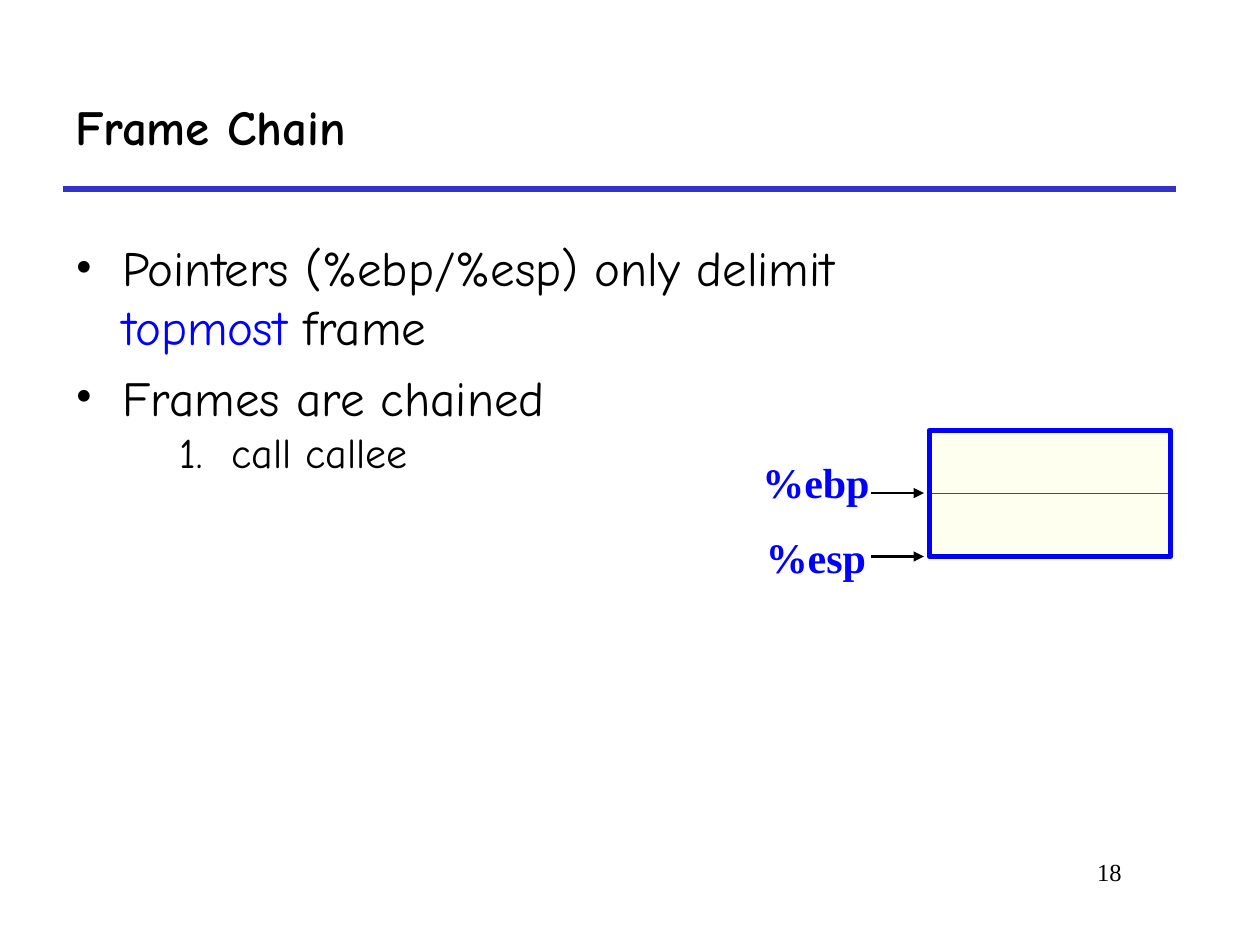
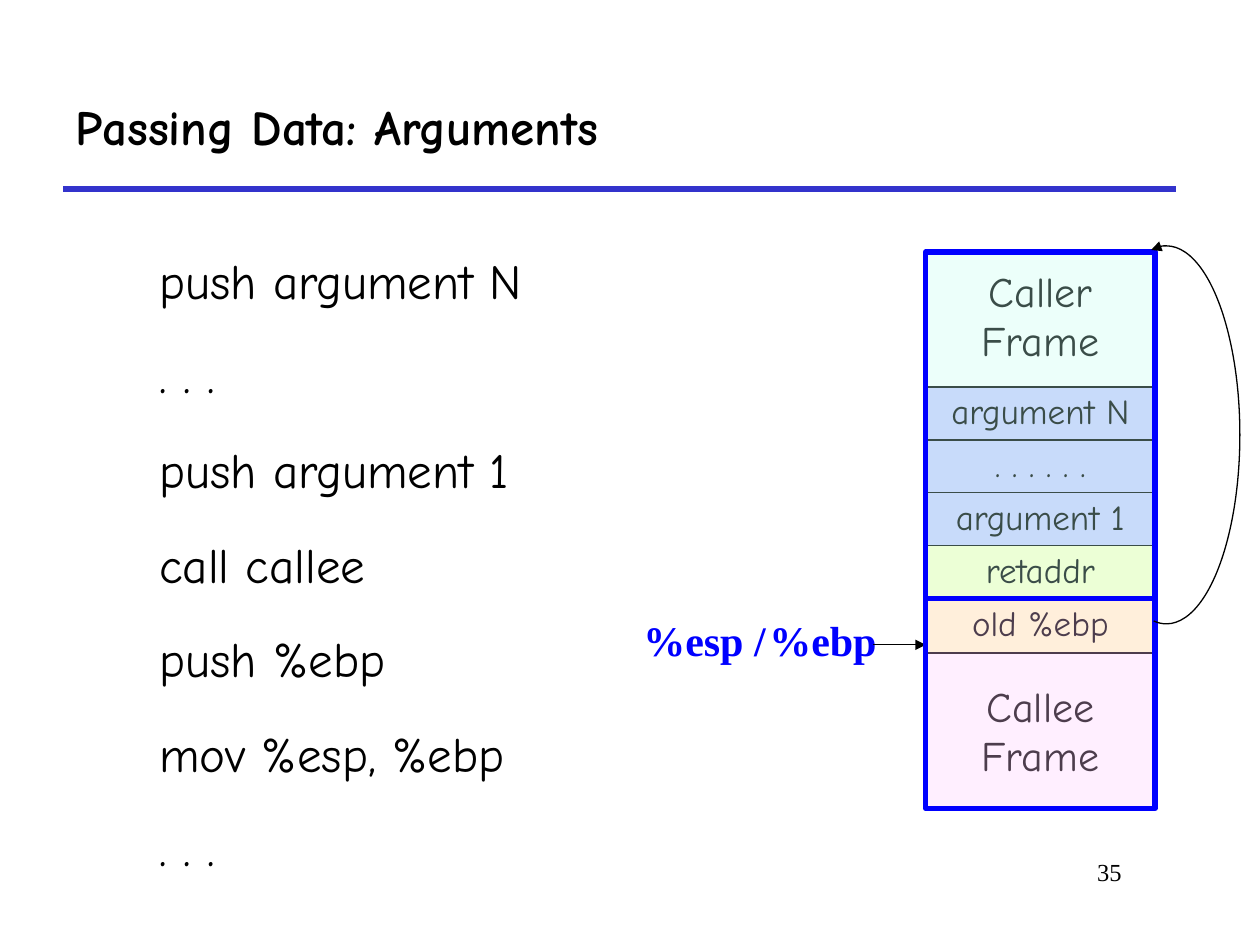
from lxml.etree import SubElement
from pptx import Presentation
from pptx.dml.color import RGBColor
from pptx.enum.shapes import MSO_CONNECTOR, MSO_SHAPE
from pptx.enum.text import MSO_ANCHOR, PP_ALIGN
from pptx.oxml.ns import qn
from pptx.util import Pt

COLORS = {
    "black": "000000",
    "white": "FFFFFF",
    "rule": "3333CC",
    "blue": "0000FF",
    "cream": "FFFFCC",
    "lavender": "CCCCFF",
    "mint": "C2FFF0",
    "pink": "FFCCFF",
}
HAND = "Comic Neue"
SERIF = "Times New Roman"
STACK_LEFT, STACK_WIDTH = 529, 131
CALLER_TOP, CALLEE_TOP = 144, 342
SLOT_STEP, SLOT_HEIGHT = 30.25, 31


def color(name):
    return RGBColor.from_string(COLORS[name])


def set_font(font, name, size, tint="black", bold=False):
    font.name = name
    font.size = Pt(size)
    font.bold = bold
    font.color.rgb = color(tint)


def add_box(page, left, top, width, height):
    box = page.shapes.add_textbox(Pt(left), Pt(top), Pt(width), Pt(height))
    box.text_frame.word_wrap = True
    return box.text_frame


def set_bullet(para, indent, hanging, font, kind, **attributes):
    props = para._p.get_or_add_pPr()
    props.set("marL", str(Pt(indent)))
    props.set("indent", str(-Pt(hanging)))
    SubElement(props, qn("a:buFont"), typeface=font)
    SubElement(props, qn(kind), **attributes)


def add_paragraphs(frame, texts, space=7, spacing=None, bullet=None):
    for index, text in enumerate(texts):
        para = frame.paragraphs[0] if index == 0 else frame.add_paragraph()
        if bullet:
            set_bullet(para, 27, 27, SERIF, "a:buChar", char=bullet)
        para.space_before = Pt(space if index else 0)
        if spacing:
            para.line_spacing = spacing
        spans = [(text, "black")] if isinstance(text, str) else text
        for words, tint in spans:
            span = para.add_run()
            span.text = words
            if tint != "black":
                span.font.color.rgb = color(tint)
        set_font(para.font, HAND, 28)


def add_label(page, left, top, width, text):
    para = add_box(page, left, top, width, 36).paragraphs[0]
    para.text = text
    set_font(para.font, SERIF, 24, "blue", True)


def add_arrowhead(shape, end):
    SubElement(shape.element.spPr.find(qn("a:ln")), qn(end), type="triangle")


def add_line(page, start, end, tint="black", width=1.5, arrow=False):
    line = page.shapes.add_connector(
        MSO_CONNECTOR.STRAIGHT, *(Pt(value) for value in start + end))
    line.line.color.rgb = color(tint)
    line.line.width = Pt(width)
    SubElement(line.element.spPr, qn("a:effectLst"))
    if arrow:
        add_arrowhead(line, "a:tailEnd")


def add_frame_overlay(page, left, top, width, height, tint):
    shape = page.shapes.add_shape(
        MSO_SHAPE.RECTANGLE, Pt(left), Pt(top), Pt(width), Pt(height))
    shape.shadow.inherit = False
    shape.fill.solid()
    shape.fill.fore_color.rgb = color(tint)
    fill_color = shape.element.spPr.find(qn("a:solidFill")).find(qn("a:srgbClr"))
    SubElement(fill_color, qn("a:alpha"), val="30000")
    shape.line.color.rgb = color("blue")
    shape.line.width = Pt(3)


def set_borders(cell, sides, ends):
    props = cell._tc.get_or_add_tcPr()
    widths = {"a:lnL": sides, "a:lnR": sides, "a:lnT": ends, "a:lnB": ends}
    for index, (tag, width) in enumerate(widths.items()):
        border = SubElement(props, qn(tag), w=str(Pt(width)))
        fill = SubElement(border, qn("a:solidFill"))
        SubElement(fill, qn("a:srgbClr"), val=COLORS["black"])
        props.remove(border)
        props.insert(index, border)


def add_stack_table(page, left, top, width, height, rows=1, fill=None, ends=1.08):
    table = page.shapes.add_table(
        rows, 1, Pt(left), Pt(top), Pt(width), Pt(height)).table
    table.first_row = False
    table.horz_banding = False
    for row in table.rows:
        cell = row.cells[0]
        if fill:
            cell.fill.solid()
            cell.fill.fore_color.rgb = color(fill)
        else:
            cell.fill.background()
        set_borders(cell, 1.08, ends)
    return table


def add_slot(page, top, height, text, size, fill=None, inset=3.6):
    table = add_stack_table(page, STACK_LEFT, top, STACK_WIDTH, height, fill=fill)
    cell = table.cell(0, 0)
    cell.margin_top = Pt(inset)
    para = cell.text_frame.paragraphs[0]
    para.text = text
    para.alignment = PP_ALIGN.CENTER
    set_font(para.font, HAND, size)


def add_page(deck, title, number):
    page = deck.slides.add_slide(deck.slide_layouts[6])
    add_line(page, (36, 108), (672, 108), "rule", 3)
    frame = add_box(page, 36, 36, 636, 72)
    frame.vertical_anchor = MSO_ANCHOR.MIDDLE
    para = frame.paragraphs[0]
    para.text = title
    set_font(para.font, HAND, 28, bold=True)
    para = add_box(page, 546, 486, 102, 36).paragraphs[0]
    para.text = str(number)
    para.alignment = PP_ALIGN.RIGHT
    set_font(para.font, SERIF, 14)
    return page


def add_frame_chain(deck):
    page = add_page(deck, "Frame Chain", 18)
    add_paragraphs(add_box(page, 36, 132, 477, 120), [
        [("Pointers (%ebp/%esp) only delimit ", "black"),
         ("topmost ", "blue"), ("frame", "black")],
        "Frames are chained",
    ], bullet="•")
    add_stack_table(page, 531, 246, 138, 72, rows=2, fill="white", ends=0.45)
    for text, left, top, arrow_y in (
            ("%ebp", 428.5, 257.5, 281.75), ("%esp", 430.5, 300, 318)):
        add_label(page, left, top, 82, text)
        add_line(page, (498, arrow_y), (528, arrow_y), arrow=True)
    add_frame_overlay(page, 531, 246, 138, 72, "cream")
    para = add_box(page, 36, 240, 360, 36).paragraphs[0]
    set_bullet(para, 89, 29.5, HAND, "a:buAutoNum", type="arabicPeriod")
    para.text = "call callee"
    set_font(para.font, HAND, 24)


def add_old_ebp_link(page):
    arc = page.shapes.add_shape(
        MSO_SHAPE.ARC, Pt(624.5), Pt(140.5), Pt(84), Pt(216))
    arc.shadow.inherit = False
    degree = 0.6
    arc.adjustments[0] = 265.3 * degree
    arc.adjustments[1] = 93.9 * degree
    arc.fill.background()
    arc.line.color.rgb = color("black")
    arc.line.width = Pt(0.75)
    add_arrowhead(arc, "a:headEnd")


def add_passing_arguments(deck):
    page = add_page(deck, "Passing Data: Arguments", 35)
    add_paragraphs(add_box(page, 84, 126, 420, 378), [
        "push argument N", ". . .", "push argument 1", "call callee",
        "push %ebp", "mov %esp, %ebp", ". . .",
    ], spacing=1.4)
    slots = [("argument N", "lavender"), (". . . . . .", "lavender"),
             ("argument 1", "lavender"), ("retaddr", "cream"),
             ("old %ebp", "cream")]
    first_slot = CALLEE_TOP - 4 * SLOT_STEP
    for index, (text, fill) in enumerate(slots):
        add_slot(page, first_slot + index * SLOT_STEP, SLOT_HEIGHT, text, 20, fill)
    add_label(page, 432.5, 347.5, 82, "%ebp")
    add_label(page, 360.5, 347.5, 96, "%esp /")
    add_line(page, (499, 368.5), (529, 368.5), width=0.75, arrow=True)
    for top, height, text, inset, tint in (
            (CALLER_TOP, 198, "Caller\nFrame", 10.4, "mint"),
            (CALLEE_TOP, 120, "Callee\nFrame", 49.4, "pink")):
        add_slot(page, top, height, text, 24, inset=inset)
        add_frame_overlay(page, STACK_LEFT, top, STACK_WIDTH, height, tint)
    add_old_ebp_link(page)


def main():
    deck = Presentation()
    deck.slide_width = Pt(720)
    deck.slide_height = Pt(540)
    add_frame_chain(deck)
    add_passing_arguments(deck)
    deck.save("out.pptx")


if __name__ == "__main__":
    main()
